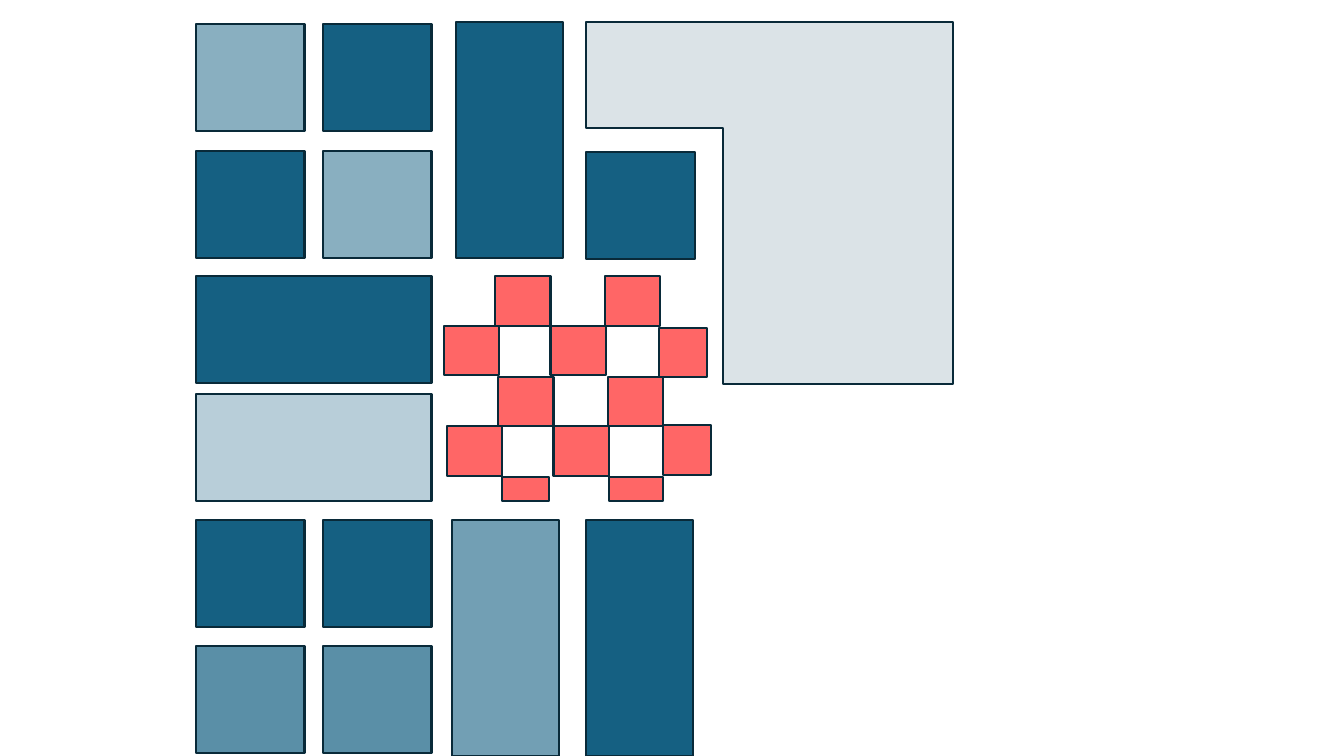
from lxml.etree import SubElement
from pptx import Presentation
from pptx.dml.color import RGBColor
from pptx.enum.shapes import MSO_SHAPE
from pptx.oxml.ns import qn
from pptx.util import Inches, Pt

COLORS = {"blue": "156082", "navy": "104862", "red": "FF0000", "line": "092A39"}

SIDE, DEPTH, LONG = 1.08, 1.06, 2.34
COLUMNS = (1.94, 3.2)
# top of each row of squares, opacity of its two squares
SQUARES = [(0.24, (50, 100)), (1.5, (100, 50)), (5.16, (100, 100)), (6.41, (70, 70))]
# top, opacity
BARS = [(2.74, 100), (3.91, 30)]
# left, top, opacity
PILLARS = [(4.48, 5.16, 60), (5.81, 5.16, 100), (4.52, 0.22, 100)]
CORNER = (5.81, 0.22, 3.64, 3.59)
LONE = (5.81, 1.51, SIDE, DEPTH)

CHECK = (0.55, 0.49)
CHECKS = [(4.91, 2.74), (6, 2.74), (4.4, 3.23), (5.46, 3.23)]
SHIFTS = [(0, 0), (0.03, 1)]
# checks cut off at the right and bottom edges
CUT = [(6.54, 3.25, 0.47, 0.49), (6.58, 4.22, 0.47, 0.49),
       (6.04, 4.73, 0.54, 0.24), (4.98, 4.73, 0.47, 0.24)]


def add_block(shapes, box, color="blue", alpha=100, kind=MSO_SHAPE.RECTANGLE, turn=0):
    """Add an outlined shape; alpha is its fill opacity in percent."""
    block = shapes.add_shape(kind, *(Inches(n) for n in box))
    block.shadow.inherit = False
    block.rotation = turn
    block.fill.solid()
    block.fill.fore_color.rgb = RGBColor.from_string(COLORS[color])
    if alpha < 100:
        tone = block.fill._xPr.find(qn("a:solidFill"))[0]
        SubElement(tone, qn("a:alpha"), val=str(alpha * 1000))
    block.line.color.rgb = RGBColor.from_string(COLORS["line"])
    block.line.width = Pt(1.5)
    return block


def main():
    deck = Presentation()
    deck.slide_width, deck.slide_height = Inches(13.33), Inches(7.5)
    slide = deck.slides.add_slide(deck.slide_layouts[6])
    shapes = slide.shapes.add_group_shape().shapes

    for top, alphas in SQUARES:
        for left, alpha in zip(COLUMNS, alphas):
            add_block(shapes, (left, top, SIDE, DEPTH), alpha=alpha)
    for top, alpha in BARS:
        add_block(shapes, (COLUMNS[0], top, LONG, DEPTH), alpha=alpha)
    # a pillar is a bar turned about its centre
    shift = (LONG - DEPTH) / 2
    for left, top, alpha in PILLARS:
        add_block(shapes, (left - shift, top + shift, LONG, DEPTH), alpha=alpha, turn=90)

    corner = add_block(shapes, CORNER, "navy", 15, MSO_SHAPE.CORNER, 180)
    corner.adjustments[0], corner.adjustments[1] = 0.292, 0.634

    for right, down in SHIFTS:
        for left, top in CHECKS:
            add_block(shapes, (left + right, top + down, *CHECK), "red", 60)
    for box in CUT:
        add_block(shapes, box, "red", 60)
    add_block(shapes, LONE)

    deck.save("out.pptx")


if __name__ == "__main__":
    main()
